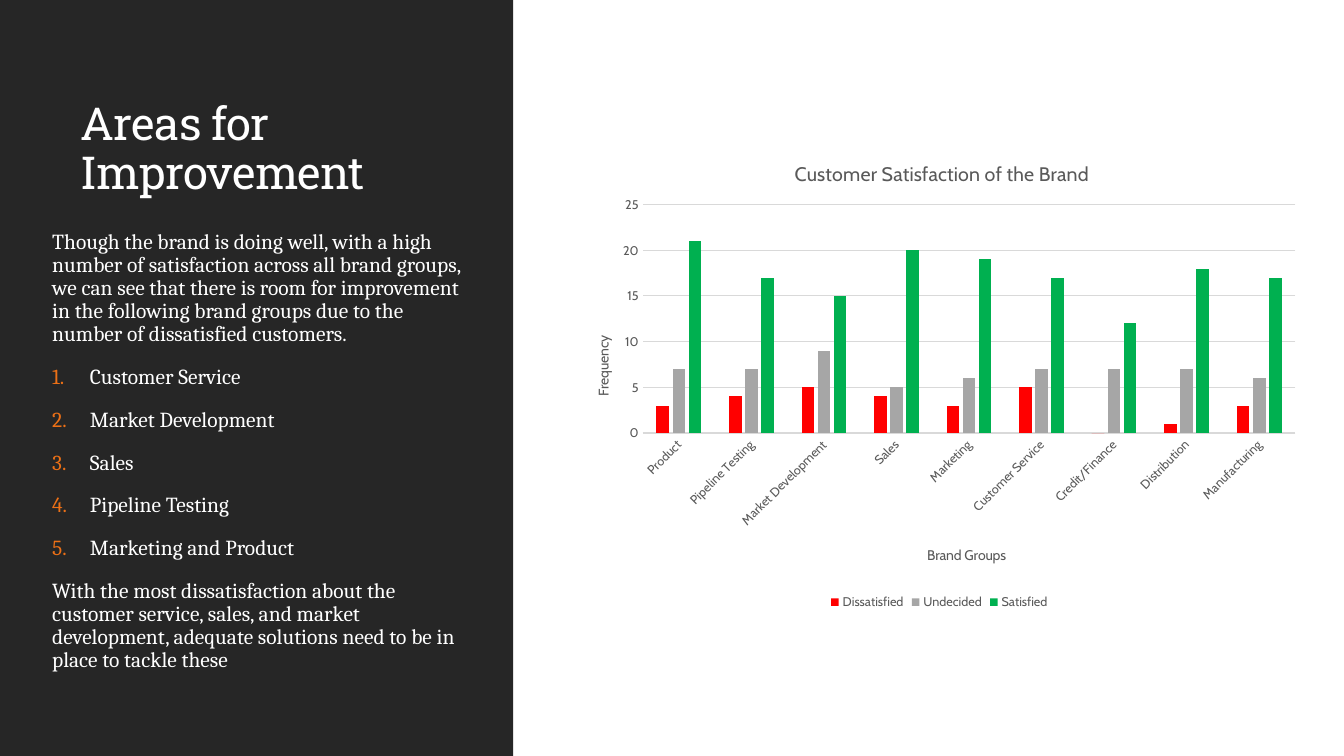
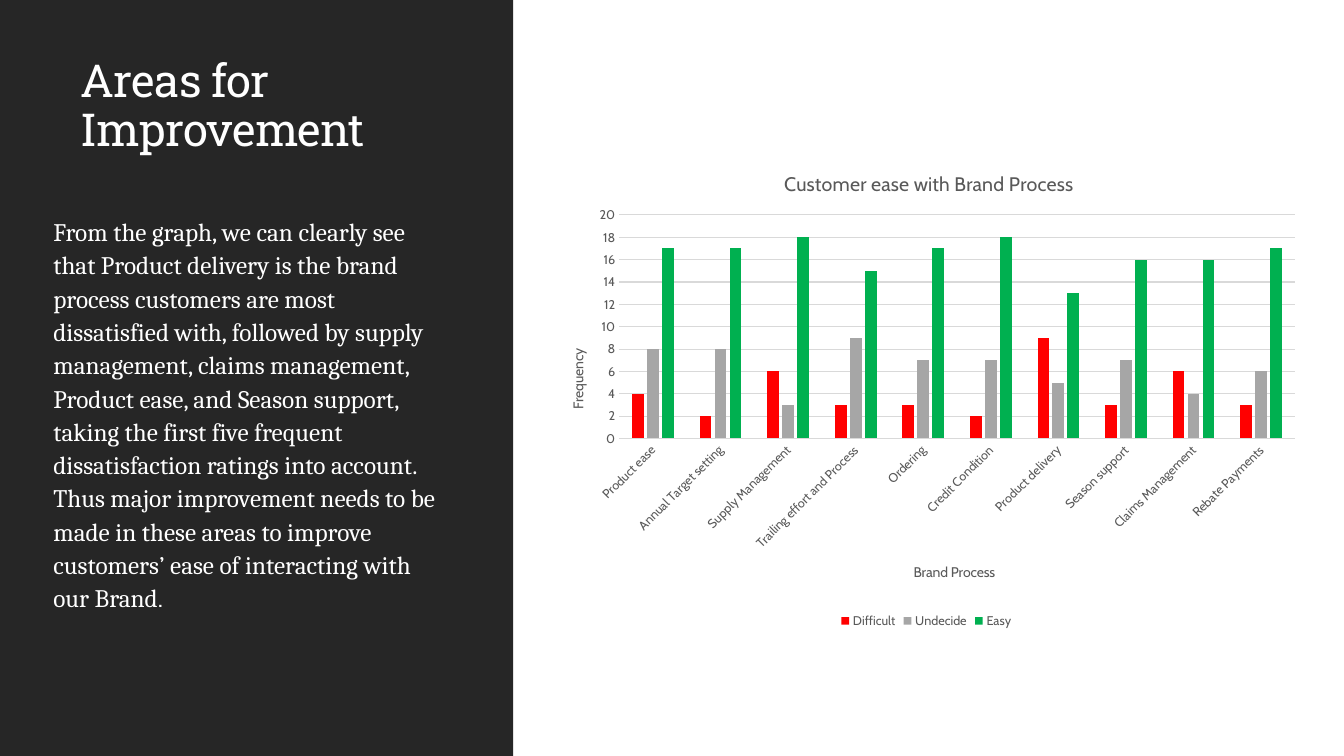
from lxml.etree import SubElement
from pptx import Presentation
from pptx.chart.data import CategoryChartData
from pptx.dml.color import RGBColor
from pptx.enum.chart import XL_CHART_TYPE, XL_LEGEND_POSITION, XL_TICK_MARK
from pptx.enum.shapes import MSO_SHAPE
from pptx.enum.text import MSO_ANCHOR, MSO_AUTO_SIZE, PP_ALIGN
from pptx.oxml import parse_xml
from pptx.oxml.ns import nsdecls, qn
from pptx.util import Pt

PANEL, WHITE, NUMBER = "262626", "FFFFFF", "EC7016"
CHART_TEXT, RULE = "595959", "D9D9D9"
SERIES_COLOURS = ("FF0000", "A6A6A6", "00B050")
TITLE_FONT, BODY_FONT, CHART_FONT = "Roboto Slab", "Cambria", "Cabin"
LIST_INDENT = Pt(27)


def colour(hex_string):
    return RGBColor.from_string(hex_string)


def set_font(font, name, size, hex_string):
    font.name = name
    font.size = Pt(size)
    font.bold = False
    font.color.rgb = colour(hex_string)


def add_run(para, text, name, size, hex_string=WHITE):
    span = para.add_run()
    span.text = text
    set_font(span.font, name, size, hex_string)
    return span


def add_panel(slide, layout):
    """Draw the dark panel and move it to the layout, behind every title."""
    panel = slide.shapes.add_shape(MSO_SHAPE.RECTANGLE, 0, 0, Pt(366.5), Pt(540))
    panel.shadow.inherit = False
    panel.fill.solid()
    panel.fill.fore_color.rgb = colour(PANEL)
    panel.line.fill.background()
    layout.shapes.element.insert(2, panel.element)


def set_title(slide, text, height):
    title = slide.shapes.title
    title.left, title.top, title.width, title.height = Pt(50.4), Pt(62), Pt(277), Pt(height)
    frame = title.text_frame
    frame.word_wrap = True
    frame.auto_size = MSO_AUTO_SIZE.NONE
    frame.vertical_anchor = MSO_ANCHOR.BOTTOM
    para = frame.paragraphs[0]
    para.alignment = PP_ALIGN.LEFT
    para.line_spacing = 0.9
    span = add_run(para, text, TITLE_FONT, 32.4)
    span.font._element.set("spc", "-50")


def number_paragraph(para):
    properties = para._p.get_or_add_pPr()
    properties.set("marL", str(LIST_INDENT))
    properties.set("indent", str(-LIST_INDENT))
    bullet_colour = SubElement(properties, qn("a:buClr"))
    SubElement(bullet_colour, qn("a:srgbClr")).set("val", NUMBER)
    SubElement(properties, qn("a:buAutoNum")).set("type", "arabicPeriod")


def add_body(slide, place, size, line_spacing, paragraphs):
    """Add a text box; paragraphs holds (numbered, text) pairs."""
    frame = slide.shapes.add_textbox(*map(Pt, place)).text_frame
    frame.word_wrap = True
    for index, (numbered, text) in enumerate(paragraphs):
        para = frame.add_paragraph() if index else frame.paragraphs[0]
        if numbered:
            number_paragraph(para)
        para.line_spacing = line_spacing
        para.space_before = Pt(12 if index else 0)
        para.space_after = Pt(2)
        add_run(para, text, BODY_FONT, size)
    return frame


def set_layout(parent, index, inner=False, **fractions):
    """Fix a chart part at fractions (x, y, w, h) of the chart area."""
    for old in parent.findall(qn("c:layout")):
        parent.remove(old)
    layout = parse_xml(f"<c:layout {nsdecls('c')}><c:manualLayout/></c:layout>")
    manual = layout[0]
    if inner:
        SubElement(manual, qn("c:layoutTarget")).set("val", "inner")
    for name in ("xMode", "yMode"):
        SubElement(manual, qn(f"c:{name}")).set("val", "edge")
    for name, value in fractions.items():
        SubElement(manual, qn(f"c:{name}")).set("val", str(value))
    parent.insert(index, layout)


def set_chart_title(title, text, size, x, y, rotation=0):
    frame = title.text_frame
    add_run(frame.paragraphs[0], text, CHART_FONT, size, CHART_TEXT)
    frame._txBody.bodyPr.set("rot", str(rotation * 60000))
    set_layout(title.element, 1, x=x, y=y)


def style_axis(axis):
    axis.major_tick_mark = axis.minor_tick_mark = XL_TICK_MARK.NONE
    set_font(axis.tick_labels.font, CHART_FONT, 9, CHART_TEXT)


def set_rule(line):
    line.color.rgb = colour(RULE)
    line.width = Pt(0.75)


def add_column_chart(slide, place, title, title_x, category_title, categories,
                     series, maximum, step, plot_height):
    data = CategoryChartData(number_format="0")
    data.categories = categories
    for name, values in series.items():
        data.add_series(name, values)
    chart = slide.shapes.add_chart(
        XL_CHART_TYPE.COLUMN_CLUSTERED, *map(Pt, place), data).chart
    set_font(chart.font, CHART_FONT, 10, "000000")
    set_chart_title(chart.chart_title, title, 14, title_x, 0.04)

    plot = chart.plots[0]
    plot.gap_width, plot.overlap, plot.vary_by_categories = 219, -27, False
    for column, hex_string in zip(plot.series, SERIES_COLOURS):
        column.format.fill.solid()
        column.format.fill.fore_color.rgb = colour(hex_string)
    set_layout(chart.element.find(f".//{qn('c:plotArea')}"), 0, inner=True,
               x=0.1, y=0.14, w=0.88, h=plot_height)

    category_axis, value_axis = chart.category_axis, chart.value_axis
    style_axis(category_axis)
    set_rule(category_axis.format.line)
    category_axis.tick_labels.font._element.getparent().getparent().getparent().find(
        qn("a:bodyPr")).set("rot", str(-45 * 60000))
    set_chart_title(category_axis.axis_title, category_title, 10, 0.48, 0.85)

    style_axis(value_axis)
    value_axis.format.line.fill.background()
    value_axis.minimum_scale, value_axis.maximum_scale = 0, maximum
    value_axis.major_unit = step
    set_rule(value_axis.major_gridlines.format.line)
    set_chart_title(value_axis.axis_title, "Frequency", 10, 0.03, 0.41, -90)

    chart.has_legend = True
    chart.legend.position = XL_LEGEND_POSITION.BOTTOM
    chart.legend.include_in_layout = False
    set_font(chart.legend.font, CHART_FONT, 9, CHART_TEXT)


def fill_satisfaction_slide(slide):
    set_title(slide, "Areas for Improvement", 84)
    groups = ("Customer Service", "Market Development", "Sales",
              "Pipeline Testing", "Marketing and Product")
    add_body(slide, (30.2, 161.3, 307.4, 340), 15.3, 0.9, [
        (False, "Though the brand is doing well, with a high number of satisfaction "
                "across all brand groups, we can see that there is room for improvement "
                "in the following brand groups due to the number of dissatisfied customers."),
        *((True, group) for group in groups),
        (False, "With the most dissatisfaction about the customer service, sales, and "
                "market development, adequate solutions need to be in place to tackle these"),
    ])
    add_column_chart(
        slide, (406, 98.6, 530, 340), "Customer Satisfaction of the Brand", 0.3,
        "Brand Groups",
        ("Product", "Pipeline Testing", "Market Development", "Sales", "Marketing",
         "Customer Service", "Credit/Finance", "Distribution", "Manufacturing"),
        {"Dissatisfied": (3, 4, 5, 4, 3, 5, 0, 1, 3),
         "Undecided": (7, 7, 9, 5, 6, 7, 7, 7, 6),
         "Satisfied": (21, 17, 15, 20, 19, 17, 12, 18, 17)},
        maximum=25, step=5, plot_height=0.48)


def fill_ease_slide(slide):
    set_title(slide, "Areas for Improvement", 53.3)
    frame = add_body(slide, (31, 149, 296.6, 332), 18, 1.1, [
        (False, "From the graph, we can clearly see that Product delivery is the brand "
                "process customers are most dissatisfied with, followed by supply "
                "management, claims management, Product ease, and Season support, taking "
                "the first five frequent dissatisfaction ratings into account. Thus major "
                "improvement needs to be made in these areas to improve customers’ ease "
                "of interacting with our Brand"),
    ])
    add_run(frame.paragraphs[0], ".", CHART_FONT, 18)
    add_column_chart(
        slide, (387.4, 105, 548.6, 347), "Customer ease with Brand Process", 0.31,
        "Brand Process",
        ("Product ease", "Annual Target setting", "Supply Management",
         "Trailing effort and Process", "Ordering", "Credit Condition",
         "Product delivery", "Season support", "Claims Management", "Rebate Payments"),
        {"Difficult": (4, 2, 6, 3, 3, 2, 9, 3, 6, 3),
         "Undecide": (8, 8, 3, 9, 7, 7, 5, 7, 4, 6),
         "Easy": (17, 17, 18, 15, 17, 18, 13, 16, 16, 17)},
        maximum=20, step=2, plot_height=0.46)


def main():
    deck = Presentation()
    deck.slide_width, deck.slide_height = Pt(960), Pt(540)
    layout = deck.slide_layouts.get_by_name("Title Only")
    satisfaction, ease = (deck.slides.add_slide(layout) for _ in range(2))
    add_panel(satisfaction, layout)
    fill_satisfaction_slide(satisfaction)
    fill_ease_slide(ease)
    deck.save("out.pptx")


if __name__ == "__main__":
    main()
